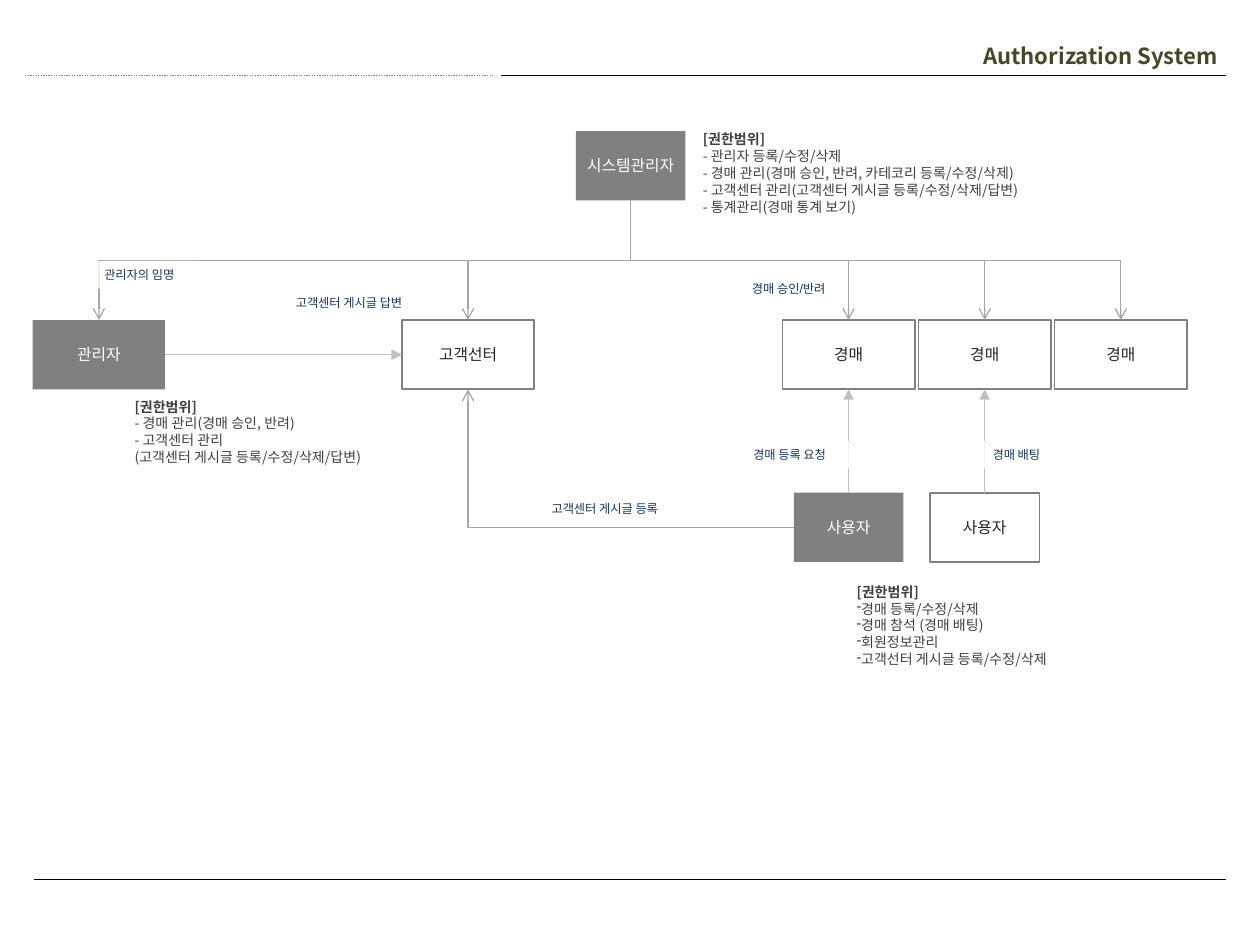
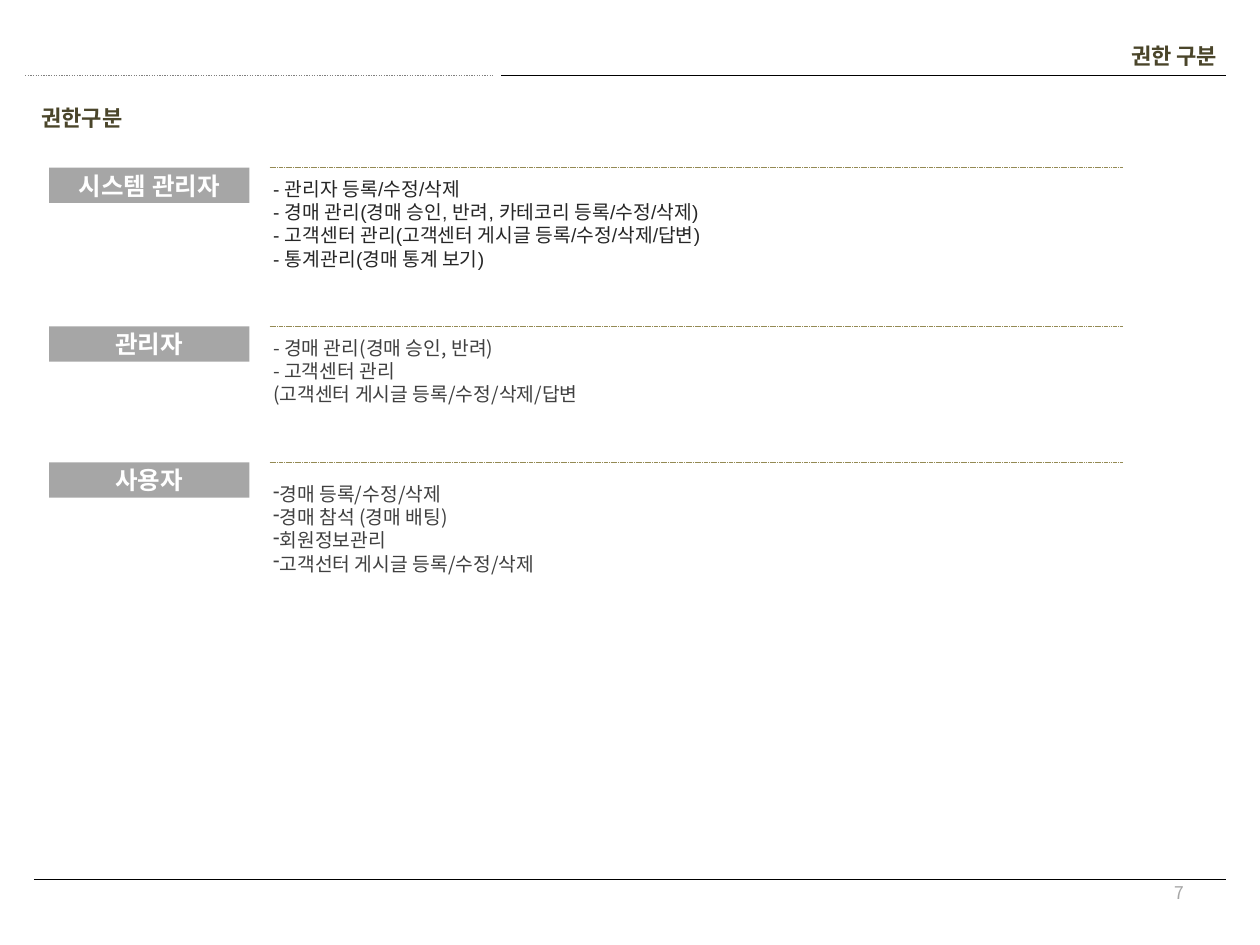
"""Build two slides on the authorization system of an auction site."""
import pptx
import pptx.dml.color
import pptx.enum.dml
import pptx.enum.shapes
import pptx.enum.text
import pptx.oxml.ns
import pptx.util
from lxml import etree
from pptx.util import Inches

COLORS = {
    "white": "FFFFFF", "black": "000000", "title": "4A452A", "role": "808080",
    "band": "A6A6A6", "arrow": "BFBFBF", "ink": "262626", "note": "404040",
    "label": "17375E", "rule": "948A54",
}
KOREAN_FONT = "Noto Sans CJK KR"
ALIGN = pptx.enum.text.PP_ALIGN
ANCHOR = pptx.enum.text.MSO_ANCHOR
DASH = pptx.enum.dml.MSO_LINE
CONNECTOR = pptx.enum.shapes.MSO_CONNECTOR

FRAME_LINES = [
    ((3.98, 0.6), (9.73, 0.6), "black", None),
    ((0.27, 6.98), (9.73, 6.98), "black", None),
    ((0.2, 0.6), (3.91, 0.6), "role", DASH.ROUND_DOT),
]

BOX_HEIGHT, WIDE, NARROW, COLUMN_STEP = 0.55, 1.05, 0.87, 1.08
TARGET_TOP, USER_TOP = 2.54, 3.91
BOXES = {
    "system": ("시스템관리자", 4.57, 1.04, NARROW, True),
    "manager": ("관리자", 0.26, TARGET_TOP, WIDE, True),
    "center": ("고객선터", 3.19, TARGET_TOP, WIDE, False),
    **{f"auction {i}": ("경매", 6.21 + i * COLUMN_STEP, TARGET_TOP, WIDE, False) for i in range(3)},
    **{f"user {i}": ("사용자", 6.3 + i * COLUMN_STEP, USER_TOP, NARROW, i == 0) for i in range(2)},
}
TREE_TARGETS = ["manager", "center", "auction 0", "auction 1", "auction 2"]
ARROWS = [
    ("manager", 3, "center", 1),
    ("user 0", 0, "auction 0", 2),
    ("user 1", 0, "auction 1", 2),
]
LABELS = [
    ("관리자의 임명", 0.73, 2.07, 0.83),
    ("경매 등록 요청", 5.88, 3.5, 0.86),
    ("경매 승인/반려", 5.87, 2.18, 0.86),
    ("경매 배팅", 7.78, 3.5, 0.63),
    ("고객센터 게시글 답변", 2.25, 2.29, 1.16),
    ("고객센터 게시글 등록", 4.28, 3.93, 1.16),
]

SYSTEM_RIGHTS = [
    "- 관리자 등록/수정/삭제",
    "- 경매 관리(경매 승인, 반려, 카테코리 등록/수정/삭제)",
    "- 고객센터 관리(고객센터 게시글 등록/수정/삭제/답변)",
    "- 통계관리(경매 통계 보기)",
]
MANAGER_RIGHTS = ["- 경매 관리(경매 승인, 반려)", "- 고객센터 관리"]
CENTER_RIGHTS = "(고객센터 게시글 등록/수정/삭제/답변"
USER_RIGHTS = [
    "경매 등록/수정/삭제", "경매 참석 (경매 배팅)",
    "회원정보관리", "고객선터 게시글 등록/수정/삭제",
]
NOTE_HEADING = "[권한범위]"
NOTES = [
    (MANAGER_RIGHTS + [CENTER_RIGHTS + ")"], False, (0.97, 3.11, 2.17, 0.64)),
    (USER_RIGHTS, True, (6.7, 4.58, 1.87, 0.77)),
    (SYSTEM_RIGHTS, False, (5.48, 0.99, 2.97, 1.04)),
]
SECTIONS = [
    ("시스템 관리자", 1.33, SYSTEM_RIGHTS, 1.36, 0.84, {"font": "Arial", "color": "ink"}),
    ("관리자", 2.59, MANAGER_RIGHTS + [CENTER_RIGHTS], 2.62, 0.66, {}),
    ("사용자", 3.67, USER_RIGHTS, 3.78, 0.84, {"bullet": True}),
]


def rgb(name):
    return pptx.dml.color.RGBColor.from_string(COLORS[name])


def add_xml(parent, tag, **attributes):
    element = etree.SubElement(parent, pptx.oxml.ns.qn(tag))
    for name, value in attributes.items():
        element.set(name, value)
    return element


def write(shape, lines, size=8, color="note", font=KOREAN_FONT, bold=False, heading=False,
          bullet=False, align=ALIGN.LEFT, anchor=ANCHOR.TOP, wrap=True):
    frame = shape.text_frame
    frame.word_wrap = wrap
    frame.vertical_anchor = anchor
    frame.margin_left = frame.margin_right = Inches(0.1 if wrap else 0.09)
    frame.margin_top = frame.margin_bottom = Inches(0.05)
    for index, line in enumerate(lines):
        paragraph = frame.add_paragraph() if index else frame.paragraphs[0]
        is_heading = heading and index == 0
        paragraph.alignment = align
        paragraph.line_spacing = pptx.util.Pt(size * 1.2)
        paragraph.space_before = pptx.util.Pt(0)
        if bullet and not is_heading:
            properties = paragraph._p.get_or_add_pPr()
            properties.set("marL", "0")
            properties.set("indent", "0")
            add_xml(properties, "a:buChar", char="-")
        run = paragraph.add_run()
        run.text = line
        run.font.size = pptx.util.Pt(size)
        run.font.bold = bold or is_heading
        run.font.name = font
        run.font.color.rgb = rgb(color)
        add_xml(run._r.get_or_add_rPr(), "a:ea", typeface=KOREAN_FONT)


def add_text(slide, lines, place, **text_format):
    shape = slide.shapes.add_textbox(*map(Inches, place))
    write(shape, lines, **text_format)


def add_box(slide, text, place, fill, outline=None, **text_format):
    rectangle = pptx.enum.shapes.MSO_SHAPE.RECTANGLE
    shape = slide.shapes.add_shape(rectangle, *map(Inches, place))
    shape.shadow.inherit = False
    shape.fill.solid()
    shape.fill.fore_color.rgb = rgb(fill)
    if outline:
        shape.line.color.rgb = rgb(outline)
        shape.line.width = pptx.util.Pt(1)
    else:
        shape.line.fill.background()
    write(shape, [text], **text_format)
    return shape


def add_line(slide, start, end, color, width=0.75, dash=None, head=None,
             kind=CONNECTOR.STRAIGHT):
    connector = slide.shapes.add_connector(kind, *map(Inches, (*start, *end)))
    connector.line.color.rgb = rgb(color)
    connector.line.width = pptx.util.Pt(width)
    if dash:
        connector.line.dash_style = dash
    properties = connector._element.spPr
    if head:
        add_xml(properties.find(pptx.oxml.ns.qn("a:ln")), "a:tailEnd", type=head)
    add_xml(properties, "a:effectLst")
    return connector


def add_drop(slide, start, end):
    """Add an elbow arrow that runs down, across and down again."""
    across, down = abs(end[0] - start[0]), end[1] - start[1]
    left = (start[0] + end[0] - down) / 2
    top = (start[1] + end[1] - across) / 2
    connector = add_line(slide, (left, top), (left + down, top + across), "band",
                         head="arrow", kind=CONNECTOR.ELBOW)
    transform = connector._element.spPr.find(pptx.oxml.ns.qn("a:xfrm"))
    if end[0] < start[0]:
        transform.set("rot", "5400000")
    else:
        transform.set("rot", "16200000")
        transform.set("flipH", "1")


def add_corner(slide, start, end):
    """Add an elbow arrow that runs left and then up."""
    connector = add_line(slide, end, start, "band", head="arrow", kind=CONNECTOR.ELBOW)
    properties = connector._element.spPr
    properties.find(pptx.oxml.ns.qn("a:xfrm")).set("rot", "10800000")
    properties.find(pptx.oxml.ns.qn("a:prstGeom")).set("prst", "bentConnector2")


def add_slide(presentation, title):
    slide = presentation.slides.add_slide(presentation.slide_layouts[5])
    for start, end, color, dash in FRAME_LINES:
        add_line(slide, start, end, color, dash=dash)
    shape = slide.shapes.title
    shape.left, shape.top, shape.width, shape.height = map(Inches, (6.89, 0.29, 2.87, 0.31))
    write(shape, [title], size=12.6, color="title", bold=True, align=ALIGN.RIGHT,
          anchor=ANCHOR.MIDDLE)
    return slide


def top_middle(name):
    _, left, top, width, _ = BOXES[name]
    return left + width / 2, top


def build_diagram(presentation):
    slide = add_slide(presentation, "Authorization System")
    centered = {"align": ALIGN.CENTER, "anchor": ANCHOR.MIDDLE, "wrap": False}
    shapes = {}
    for name, (text, left, top, width, filled) in BOXES.items():
        shapes[name] = add_box(
            slide, text, (left, top, width, BOX_HEIGHT), "role" if filled else "white",
            None if filled else "role", size=9, color="white" if filled else "ink", **centered)

    system_x, system_top = top_middle("system")
    for target in TREE_TARGETS:
        add_drop(slide, (system_x, system_top + BOX_HEIGHT), top_middle(target))
    center_x, center_top = top_middle("center")
    add_corner(slide, (BOXES["user 0"][1], USER_TOP + BOX_HEIGHT / 2),
               (center_x, center_top + BOX_HEIGHT))
    for source, source_side, target, target_side in ARROWS:
        arrow = add_line(slide, (0, 0), (1, 1), "arrow", head="triangle")
        arrow.begin_connect(shapes[source], source_side)
        arrow.end_connect(shapes[target], target_side)

    for text, left, top, width in LABELS:
        label = add_box(slide, text, (left, top, width, 0.22), "white",
                        size=7, color="label", font="Arial")
        fill = label._element.spPr.find(".//" + pptx.oxml.ns.qn("a:srgbClr"))
        add_xml(fill, "a:alpha", val="81000")
    for rights, bullet, place in NOTES:
        add_text(slide, [NOTE_HEADING] + rights, place, heading=True, bullet=bullet)


def build_rights(presentation):
    slide = add_slide(presentation, "권한 구분")
    add_text(slide, ["권한구분"], (0.23, 0.78, 2.87, 0.31), size=12.6, color="title",
             bold=True, anchor=ANCHOR.MIDDLE)
    for role, top, rights, rights_top, height, text_format in SECTIONS:
        add_line(slide, (2.14, top), (8.91, top), "rule", width=0.25, dash=DASH.SQUARE_DOT)
        add_box(slide, role, (0.39, top, 1.59, 0.28), "band", size=14, color="white",
                bold=True, align=ALIGN.CENTER, anchor=ANCHOR.MIDDLE, wrap=False)
        add_text(slide, rights, (2.07, rights_top, 7, height), size=11, **text_format)
    add_text(slide, ["7"], (7.17, 6.95, 2.33, 0.4), size=10, color="band", align=ALIGN.RIGHT)


def main():
    presentation = pptx.Presentation()
    presentation.slide_width, presentation.slide_height = Inches(10), Inches(7.5)
    build_diagram(presentation)
    build_rights(presentation)
    presentation.save("out.pptx")


if __name__ == "__main__":
    main()
